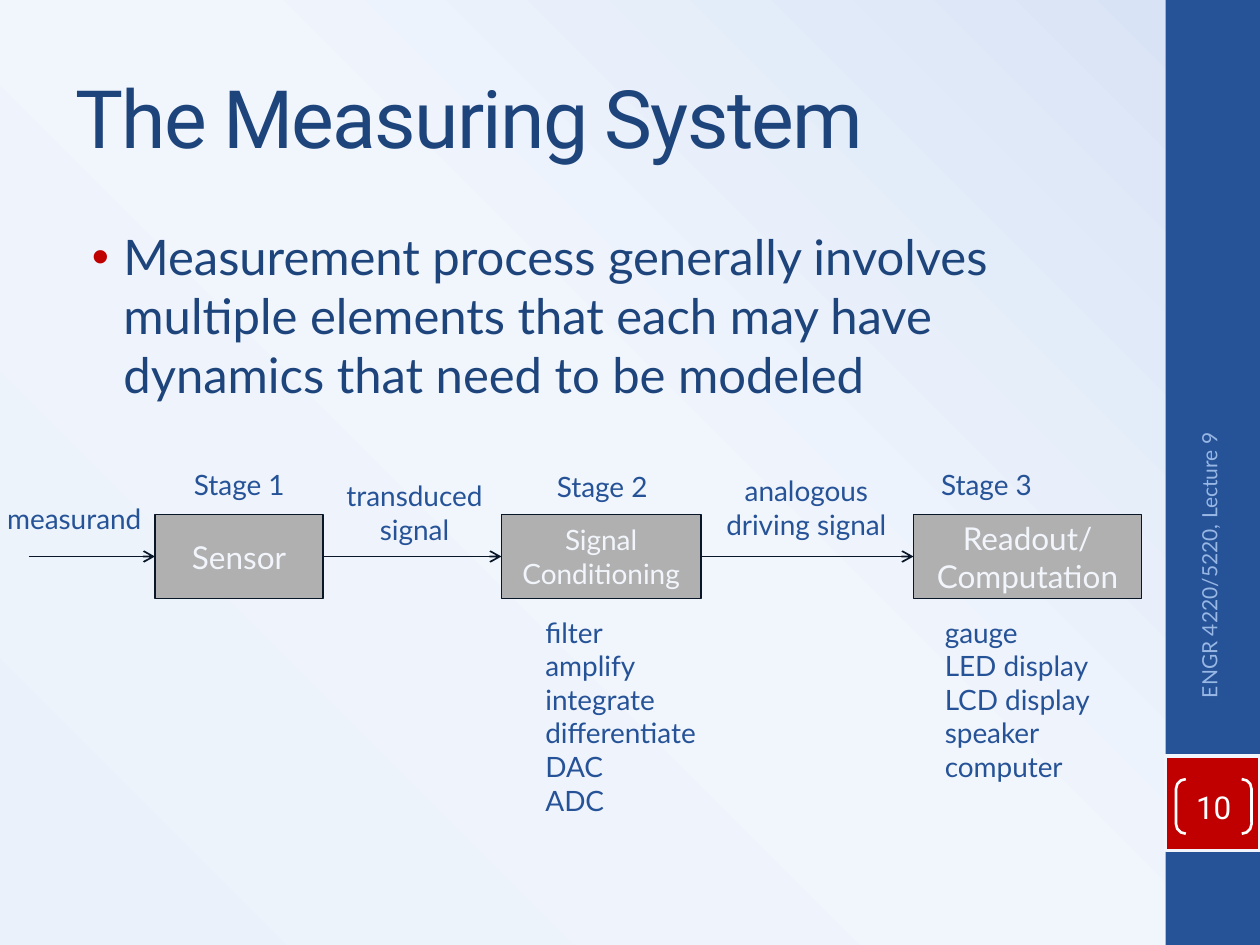
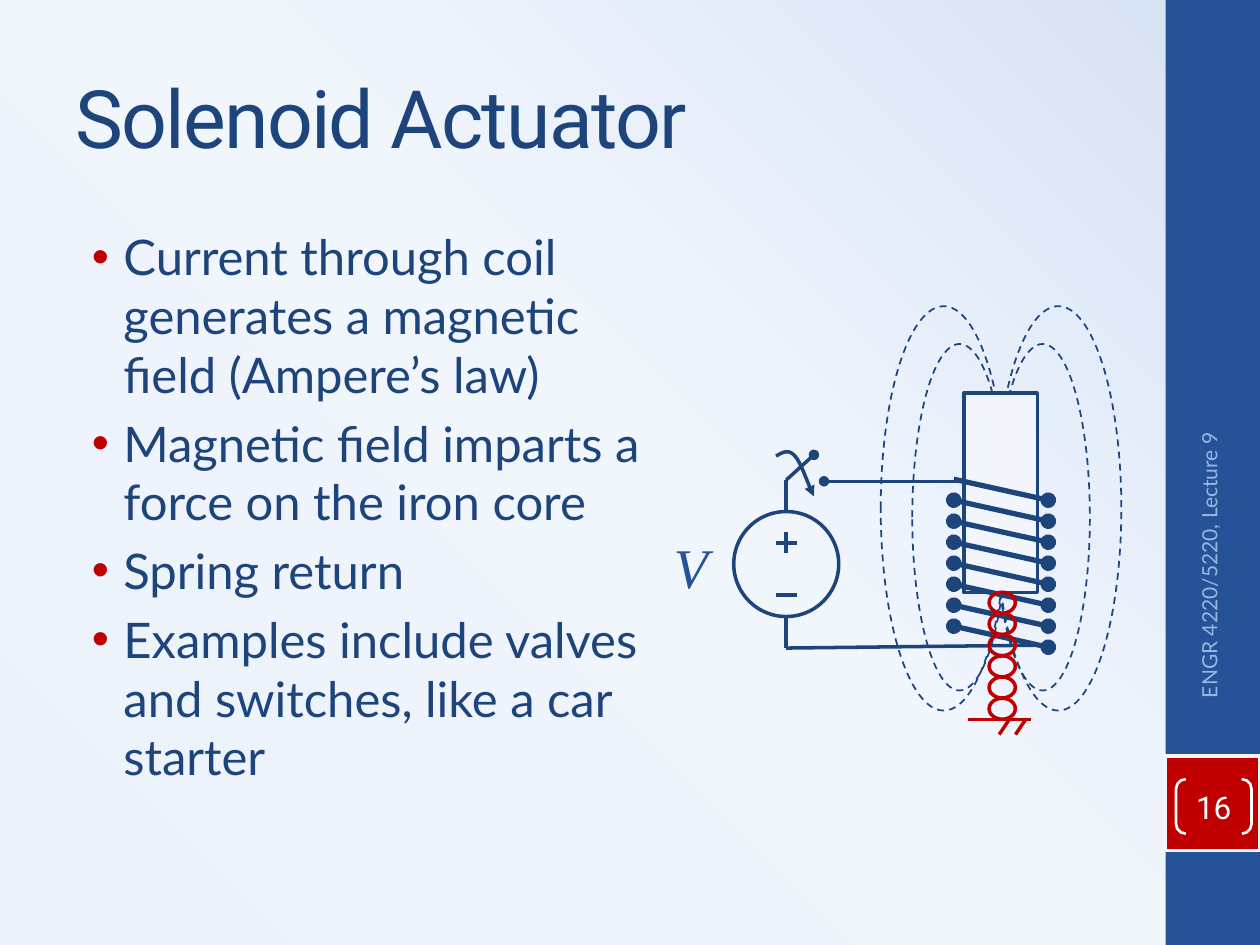
from lxml import etree
from pptx import Presentation
from pptx import util as u
from pptx.dml.color import RGBColor
from pptx.enum import dml, shapes, text
from pptx.oxml.ns import qn

COLUMNS, ROWS = 120, 90
NAVY, BLUE, PALE_BLUE = "1E447C", "265397", "98B7E5"
RED, WHITE, PALE = "C00000", "FFFFFF", "F2F6FC"
GRAY, INK = "B0B0B0", "091628"
HEAD_FONT, BODY_FONT, MATH_FONT = "Roboto", "Lato", "Times New Roman"
BACKGROUND = ((0, "EAF1FA"), (52, "F1F6FD"), (100, "D6E2F5"))
LEFT, CENTER, RIGHT = text.PP_ALIGN.LEFT, text.PP_ALIGN.CENTER, text.PP_ALIGN.RIGHT
TOP, MIDDLE = text.MSO_ANCHOR.TOP, text.MSO_ANCHOR.MIDDLE
FORM = shapes.MSO_SHAPE


def rgb(value):
    return RGBColor.from_string(value)


def add_xml(parent, tag, **attributes):
    return etree.SubElement(parent, qn(tag), attributes)


def write(tf, content, size=16, font=BODY_FONT, color=BLUE, align=LEFT,
          anchor=TOP, wrap=True, italic=False, spacing=None, bullet=None, inset=None):
    tf.auto_size = text.MSO_AUTO_SIZE.NONE
    tf.word_wrap = wrap
    tf.vertical_anchor = anchor
    if inset is not None:
        tf.margin_left = tf.margin_right = tf.margin_top = tf.margin_bottom = inset
    for i, line in enumerate(content.split("\n")):
        p = tf.add_paragraph() if i else tf.paragraphs[0]
        p.alignment = align
        r = p.add_run()
        r.text = line
        r.font.size, r.font.name, r.font.italic = u.Pt(size), font, italic
        r.font.color.rgb = rgb(color)
        if spacing:
            r.font._element.set("spc", str(spacing * 100))
        if bullet:
            pPr = p._p.get_or_add_pPr()
            pPr.set("marL", str(u.Inches(0.38)))
            pPr.set("indent", str(u.Inches(-0.25)))
            add_xml(add_xml(pPr, "a:buClr"), "a:srgbClr", val=bullet)
            add_xml(pPr, "a:buChar", char="•")


class Deck:
    def __init__(self):
        self.prs = Presentation()
        self.prs.slide_width, self.prs.slide_height = u.Inches(10), u.Inches(7.5)
        self.paint_background()

    def x(self, columns):
        return u.Emu(round(columns * self.prs.slide_width / COLUMNS))

    def y(self, rows):
        return u.Emu(round(rows * self.prs.slide_height / ROWS))

    def box(self, left, top, width, height):
        return self.x(left), self.y(top), self.x(width), self.y(height)

    def paint_background(self):
        master = self.prs.slide_master
        master.background.fill.gradient()
        grad = master.element.find(".//" + qn("a:gradFill"))
        for child in list(grad):
            grad.remove(child)
        stops = add_xml(grad, "a:gsLst")
        for position, color in BACKGROUND:
            stop = add_xml(stops, "a:gs", pos=str(position * 1000))
            add_xml(stop, "a:srgbClr", val=color)
        path = add_xml(grad, "a:path", path="circle")
        add_xml(path, "a:fillToRect", l="0", t="100000", r="100000", b="0")

    def new_slide(self, title, body, number, body_size):
        self.s = self.prs.slides.add_slide(self.prs.slide_layouts[1])
        self.shape(FORM.RECTANGLE, (111, 0, 9, 90), fill=BLUE)
        self.shape(FORM.RECTANGLE, (111, 72, 9, 9), fill=RED, line=PALE, width=2)
        self.placeholder(0, title, (6, 3.6, 100, 15), size=46, font=HEAD_FONT,
                         color=NAVY, anchor=MIDDLE, spacing=-1)
        self.placeholder(1, body, (6, 21, *body_size), size=28, color=NAVY, bullet=RED)
        footer = self.label("ENGR 4220/5220, Lecture 9", (99.6, 53.16, 31.08, 4.8),
                            size=12, color=PALE_BLUE, align=RIGHT, anchor=MIDDLE)
        footer.rotation = 270
        bracket = self.shape(FORM.DOUBLE_BRACKET, (112, 74.2, 7.2, 5.2), line=WHITE, width=1.5)
        bracket.adjustments[0] = 0.18
        write(bracket.text_frame, number, size=18, font=HEAD_FONT, color=WHITE,
              align=CENTER, anchor=MIDDLE, inset=0)

    def placeholder(self, index, content, area, **fmt):
        sp = self.s.placeholders[index]
        sp.left, sp.top, sp.width, sp.height = self.box(*area)
        write(sp.text_frame, content, **fmt)

    def label(self, content, area, **fmt):
        sp = self.s.shapes.add_textbox(*self.box(*area))
        write(sp.text_frame, content, **fmt)
        return sp

    def stroke(self, sp, color, width, head=None, tail=None):
        sp.line.color.rgb = rgb(color)
        sp.line.width = u.Pt(width)
        ln = sp.element.spPr.find(qn("a:ln"))
        for tag, kind in (("a:headEnd", head), ("a:tailEnd", tail)):
            if kind:
                add_xml(ln, tag, type=kind)

    def shape(self, form, area, fill=None, line=None, width=1, dash=False):
        sp = self.s.shapes.add_shape(form, *self.box(*area))
        sp.shadow.inherit = False
        if fill:
            sp.fill.solid()
            sp.fill.fore_color.rgb = rgb(fill)
        else:
            sp.fill.background()
        if line:
            self.stroke(sp, line, width)
        else:
            sp.line.fill.background()
        if dash:
            sp.line.dash_style = dml.MSO_LINE.DASH
        return sp

    def line(self, x1, y1, x2, y2, color=NAVY, width=2, head=None, tail=None):
        sp = self.s.shapes.add_connector(shapes.MSO_CONNECTOR.STRAIGHT,
                                         self.x(x1), self.y(y1), self.x(x2), self.y(y2))
        self.stroke(sp, color, width, head, tail)
        add_xml(sp.element.spPr, "a:effectLst")

    def curve(self, start, *segments, steps=10, **fmt):
        points = [start]
        for a, b, end in segments:
            origin = points[-1]
            for i in range(1, steps + 1):
                t = i / steps
                weights = ((1 - t) ** 3, 3 * t * (1 - t) ** 2, 3 * t * t * (1 - t), t ** 3)
                points.append(tuple(sum(w * p[axis] for w, p in zip(weights, (origin, a, b, end)))
                                    for axis in (0, 1)))
        points = [(self.x(px), self.y(py)) for px, py in points]
        builder = self.s.shapes.build_freeform(*points[0], scale=1.0)
        builder.add_line_segments(points[1:], close=False)
        sp = builder.convert_to_shape()
        sp.shadow.inherit = False
        sp.fill.background()
        self.stroke(sp, NAVY, **fmt)


def measuring_system(deck):
    deck.new_slide("The Measuring System",
                   "Measurement process generally involves multiple elements "
                   "that each may have dynamics that need to be modeled",
                   "10", (100, 63))
    stages = (("Sensor", 14.76, 16, 18),
              ("Signal\nConditioning", 47.76, 19, 16),
              ("Readout/\nComputation", 87, 21.72, 18))
    arrow_start = 2.76
    for name, left, width, size in stages:
        sp = deck.shape(FORM.RECTANGLE, (left, 49, width, 8), fill=GRAY, line=INK)
        write(sp.text_frame, name, size=size, color=PALE, align=CENTER, anchor=MIDDLE)
        deck.line(arrow_start, 53, left, 53, color=INK, width=1, tail="arrow")
        arrow_start = left + width
    labels = (("Stage 1", 17.16, 43.92, 11.28, 4.44),
              ("Stage 2", 51.72, 44.16, 11.28, 4.44),
              ("Stage 3", 88.32, 43.92, 11.28, 4.44),
              ("measurand", -0.72, 47.16, 15.6, 4.44),
              ("transduced\nsignal", 31.68, 45, 15.6, 7.68),
              ("analogous\ndriving signal", 67.68, 44.52, 18.24, 7.68))
    for name, *area in labels:
        deck.label(name, area, align=CENTER, wrap=False)
    deck.label("filter\namplify\nintegrate\ndifferentiate\nDAC\nADC", (50.76, 58, 21, 20.64))
    deck.label("gauge\nLED display\nLCD display\nspeaker\ncomputer", (88.8, 58, 21, 17.4))


def solenoid_actuator(deck):
    deck.new_slide("Solenoid Actuator",
                   "Current through coil generates a magnetic field (Ampere’s law)\n"
                   "Magnetic field imparts a force on the iron core\n"
                   "Spring return\n"
                   "Examples include valves and switches, like a car starter",
                   "16", (59.88, 59.4))
    for field in ((83.88, 29.16, 12, 38.52), (94.8, 29.16, 12, 38.52),
                  (94.8, 32.76, 9, 33), (86.88, 32.76, 9, 33)):
        deck.shape(FORM.OVAL, field, line=NAVY, dash=True)
    deck.shape(FORM.RECTANGLE, (91.8, 37.44, 7, 19), fill=PALE, line=NAVY, width=2)

    for turn in range(8):
        top = 45.64 + 2 * turn
        deck.line(90.84, top, 99.84, top + 2, width=3,
                  head="oval" if turn else None, tail="oval")

    source_x = 74.88
    deck.shape(FORM.OVAL, (source_x - 5, 48.72, 10, 10), line=NAVY, width=2)
    deck.line(source_x, 50.68, source_x, 52.68)
    for sign_y in (51.7, 56.68):
        deck.line(source_x - 1, sign_y, source_x + 1, sign_y)
    for wire_top in (45.72, 58.72):
        deck.line(source_x, wire_top, source_x, wire_top + 3)
    deck.line(99.72, 61.44, source_x, 61.72)
    deck.line(77.52, 43.32, source_x, 45.72, head="oval")
    deck.line(91.44, 45.84, 78.48, 45.84, tail="oval")
    deck.curve((73.92, 43.44),
               ((74.52, 43.08), (75.12, 42.72), (75.72, 43.44)),
               ((76.32, 44.04), (77.16, 46.68), (77.52, 47.28)), width=2, tail="triangle")
    deck.label("V", (63, 50.16, 5.76, 7.68), size=32, font=MATH_FONT, italic=True, wrap=False)

    for ring in range(6):
        deck.shape(FORM.OVAL, (94.2, 56.4 + 2.02 * ring, 2.5, 2), line=RED, width=2)
    ground_y = 68.52
    deck.line(92.16, ground_y, 98.16, ground_y, color=RED)
    for tick in (96.12, 97.68):
        deck.line(tick, ground_y, tick - 0.96, ground_y + 1.44, color=RED)


def main():
    deck = Deck()
    measuring_system(deck)
    solenoid_actuator(deck)
    deck.prs.save("out.pptx")


if __name__ == "__main__":
    main()
